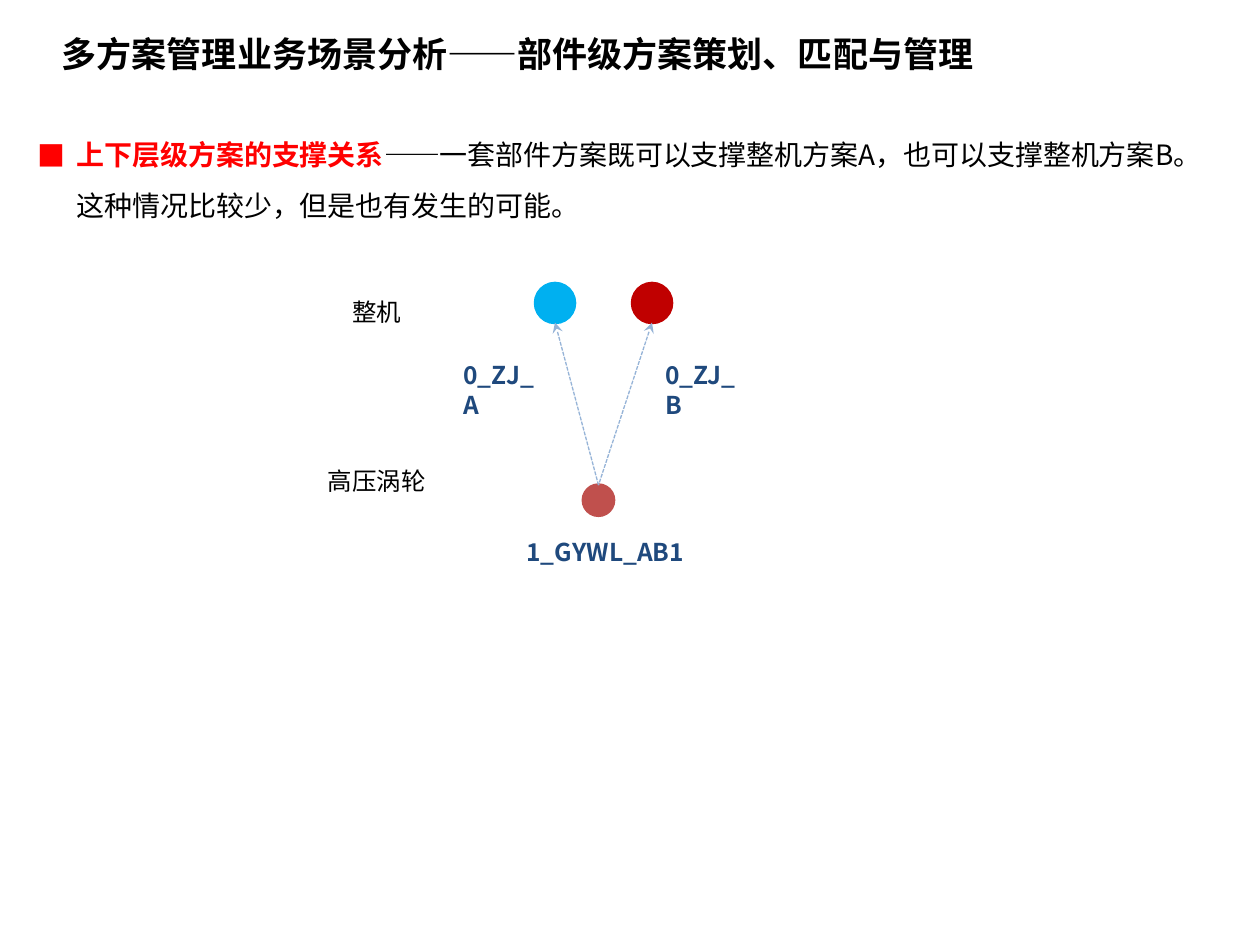
import collections
import dataclasses

import pptx
import pptx.dml.color
import pptx.enum.dml
import pptx.enum.shapes
import pptx.enum.text
import pptx.oxml
import pptx.oxml.ns
import pptx.util
from pptx.util import Inches

Box = collections.namedtuple("Box", "left top width height")
Align = pptx.enum.text.PP_ALIGN


@dataclasses.dataclass(frozen=True)
class Theme:
    """Colours, type sizes and line widths of the slide."""
    font: str = "Noto Sans CJK SC"
    text: str = "000000"
    accent: str = "FF0000"
    code: str = "1F497D"
    link: str = "95B3D7"
    plan_a: str = "00B0F0"
    plan_b: str = "C00000"
    turbine: str = "C0504D"
    title_size: int = 20
    body_size: int = 16
    label_size: int = 14
    link_width: float = 0.75
    outline_width: float = 2


THEME = Theme()


def color(value):
    """Turn a hex string into a colour."""
    return pptx.dml.color.RGBColor.from_string(value)


def apply(target, values):
    """Set each attribute of the target from a dict."""
    for name, value in values.items():
        setattr(target, name, value)


def add_element(parent, tag, **attributes):
    """Append a drawing element with attributes and return it."""
    element = pptx.oxml.parse_xml(f"<a:{tag} {pptx.oxml.ns.nsdecls('a')}/>")
    for name, value in attributes.items():
        element.set(name, value)
    parent.append(element)
    return element


def place(shape, box):
    """Move and size a shape to a box in inches."""
    apply(shape, {name: Inches(value) for name, value in box._asdict().items()})


def offset(box, left, top, width, height):
    """Give a box placed relative to the corner of another."""
    return Box(box.left + left, box.top + top, width, height)


def write(shape, spans, size, **format_values):
    """Fill a shape with one paragraph of (text, colour, bold) spans."""
    apply(shape.text_frame, {
        "word_wrap": True,
        "auto_size": pptx.enum.text.MSO_AUTO_SIZE.NONE,
        "vertical_anchor": pptx.enum.text.MSO_ANCHOR.TOP,
    })
    para = shape.text_frame.paragraphs[0]
    apply(para, {"alignment": Align.LEFT, "space_before": pptx.util.Pt(0), **format_values})
    for text, tint, bold in spans:
        span = para.add_run()
        span.text = text
        apply(span.font, {"name": THEME.font, "size": pptx.util.Pt(size), "bold": bold})
        span.font.color.rgb = color(tint)
        add_element(span.font._element, "ea", typeface=THEME.font)
    return para


def add_title(page, box):
    """Write the slide title."""
    title = page.shapes.title
    place(title, box)
    write(title, [("多方案管理业务场景分析——部件级方案策划、匹配与管理", THEME.text, True)],
          THEME.title_size)


def add_statement(page, box):
    """Write the bulleted statement below the title."""
    body = page.placeholders[1]
    place(body, box)
    para = write(body, [
        ("上下层级方案的支撑关系", THEME.accent, True),
        ("——一套部件方案既可以支撑整机方案A，也可以支撑整机方案B。"
         "这种情况比较少，但是也有发生的可能。", THEME.text, False),
    ], THEME.body_size, line_spacing=1.5)
    properties = para._p.get_or_add_pPr()
    indent = Inches(0.31)
    properties.set("marL", str(indent))
    properties.set("indent", str(-indent))
    add_element(add_element(properties, "buClr"), "srgbClr", val=THEME.accent)
    add_element(properties, "buFont", typeface=THEME.font)
    add_element(properties, "buChar", char="■")


def add_label(page, box, text, tint, bold, alignment):
    """Add a diagram label."""
    label = page.shapes.add_textbox(0, 0, 0, 0)
    place(label, box)
    write(label, [(text, tint, bold)], THEME.label_size, alignment=alignment)


def add_node(page, box, tint):
    """Add a round node."""
    node = page.shapes.add_shape(pptx.enum.shapes.MSO_SHAPE.OVAL, 0, 0, 0, 0)
    place(node, box)
    node.shadow.inherit = False
    node.fill.solid()
    node.fill.fore_color.rgb = color(tint)
    node.line.color.rgb = color(tint)
    node.line.width = pptx.util.Pt(THEME.outline_width)


def add_link(page, upper, lower):
    """Add a dashed arrow that points from the lower node to the upper one."""
    link = page.shapes.add_connector(
        pptx.enum.shapes.MSO_CONNECTOR.STRAIGHT,
        Inches(upper.left + upper.width / 2), Inches(upper.top + upper.height),
        Inches(lower.left + lower.width / 2), Inches(lower.top))
    link.line.color.rgb = color(THEME.link)
    apply(link.line, {"width": pptx.util.Pt(THEME.link_width),
                      "dash_style": pptx.enum.dml.MSO_LINE.SQUARE_DOT})
    add_element(link.line._get_or_add_ln(), "headEnd", type="stealth")
    add_element(link._element.spPr, "effectLst")


def add_diagram(page, box):
    """Draw the two machine plans and the turbine plan that supports both."""
    turbine = offset(box, 2.15, 1.6, 0.24, 0.24)
    plans = [
        (offset(box, 1.77, 0, 0.31, 0.31), THEME.plan_a),
        (offset(box, 2.54, 0, 0.31, 0.31), THEME.plan_b),
    ]
    for node, tint in [*plans, (turbine, THEME.turbine)]:
        add_node(page, node, tint)
    for node, _ in plans:
        add_link(page, node, turbine)
    for text, top in [("整机", 0.06), ("高压涡轮", 1.4)]:
        add_label(page, offset(box, 0, top, 1.02, 0.34), text, THEME.text, False, Align.CENTER)
    for text, left, top, width in [
        ("0_ZJ_A", 1.1, 0.56, 0.87),
        ("0_ZJ_B", 2.7, 0.56, 0.86),
        ("1_GYWL_AB1", 1.6, 1.96, 1.5),
    ]:
        add_label(page, offset(box, left, top, width, 0.34), text, THEME.code, True, Align.LEFT)


def main():
    """Build and save the deck."""
    deck = pptx.Presentation()
    apply(deck, {"slide_width": Inches(10), "slide_height": Inches(7.5)})
    page = deck.slides.add_slide(deck.slide_layouts[1])
    add_title(page, Box(0.39, 0.21, 8.63, 0.44))
    add_statement(page, Box(0.2, 0.91, 9.65, 0.91))
    add_diagram(page, Box(2.48, 2.25, 3.56, 2.3))
    deck.save("out.pptx")


if __name__ == "__main__":
    main()
